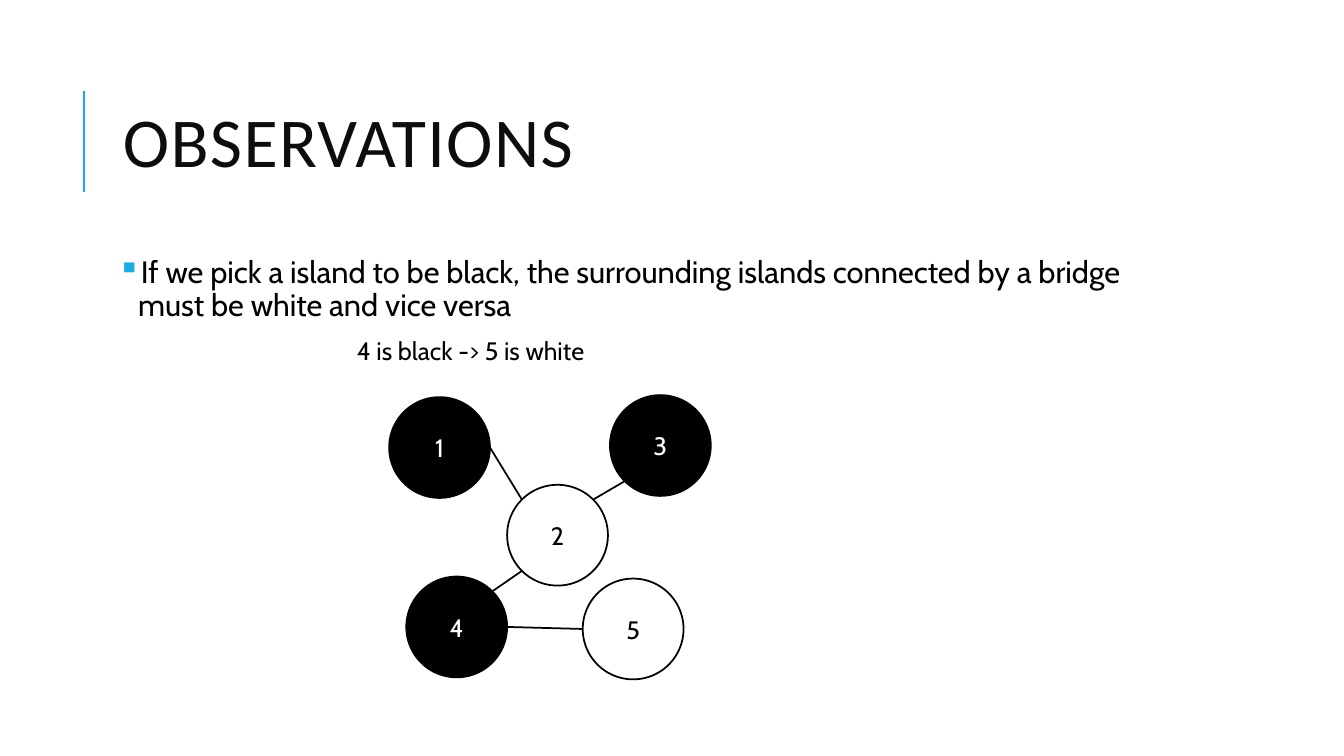
from math import cos, radians, sin

from lxml import etree
from pptx import Presentation
from pptx import util as u
from pptx.dml.color import RGBColor
from pptx.enum import shapes, text
from pptx.oxml import ns

BLACK = RGBColor(0x00, 0x00, 0x00)
WHITE = RGBColor(0xFF, 0xFF, 0xFF)
TITLE_INK = RGBColor(0x0D, 0x0D, 0x0D)
ACCENT = RGBColor(0x1C, 0xAD, 0xE4)

COLUMNS, ROWS = 133.3, 75  # square grid cells
CELL = u.Inches(0.1)
ISLAND_SIZE = 10

# Island: column and row within the graph box, fill, text colour
ISLANDS = {
    "1": (0, 0.2, BLACK, WHITE),
    "2": (11.7, 8.9, WHITE, BLACK),
    "3": (21.9, 0, BLACK, WHITE),
    "5": (19.2, 18.2, WHITE, BLACK),
    "4": (1.7, 18, BLACK, WHITE),
}
# Bridge: island and clockwise angle from its right side, for each end
BRIDGES = [
    ("1", 0, "2", 225),
    ("3", 135, "2", 315),
    ("5", 180, "4", 0),
    ("4", 315, "2", 135),
]


def cells(*counts):
    return [round(count * CELL) for count in counts]


def write(shape, content, size, font="Cabin", color=BLACK, align=None,
          anchor=text.MSO_ANCHOR.TOP, wrap=True, inset=None,
          line_spacing=None, before=None, after=None, tracking=None):
    """Fill a shape with one formatted paragraph and return the paragraph."""
    frame = shape.text_frame
    frame.word_wrap = wrap
    frame.vertical_anchor = anchor
    if inset is not None:
        frame.margin_left = frame.margin_right = u.Inches(inset)
        frame.margin_top = frame.margin_bottom = u.Inches(inset)
    paragraph = frame.paragraphs[0]
    paragraph.alignment = align
    paragraph.line_spacing = line_spacing
    paragraph.space_before, paragraph.space_after = before, after
    run = paragraph.add_run()
    run.text = content
    run.font.size = u.Pt(size)
    run.font.name = font
    run.font.color.rgb = color
    if tracking:
        run.font._element.set("spc", str(tracking * 100))
    return paragraph


def add_bullet(paragraph, character, color, indent):
    properties = paragraph._p.get_or_add_pPr()
    properties.set("marL", str(indent))
    properties.set("indent", str(-indent))
    bullet_color = etree.SubElement(properties, ns.qn("a:buClr"))
    etree.SubElement(bullet_color, ns.qn("a:srgbClr"), val=str(color))
    etree.SubElement(properties, ns.qn("a:buChar"), char=character)


def add_line(slide, start, end, color, width):
    line = slide.shapes.add_connector(
        shapes.MSO_CONNECTOR.STRAIGHT, *cells(*start, *end))
    line.line.color.rgb = color
    line.line.width = u.Pt(width)
    etree.SubElement(line._element.spPr, ns.qn("a:effectLst"))


def draw_title(slide, left, top, width, height):
    """Title with an accent rule standing to its left."""
    rule = left - 2.9
    add_line(slide, (rule, top + 12.6), (rule, top + 2.6), ACCENT, 1.5)
    box = slide.shapes.add_textbox(*cells(left, top, width, height))
    write(box, "OBSERVATIONS", 50, font="Calibri", color=TITLE_INK,
          anchor=text.MSO_ANCHOR.MIDDLE, line_spacing=0.8, tracking=1)


def draw_body(slide, left, top, width, height):
    box = slide.shapes.add_textbox(*cells(left, top, width, height))
    paragraph = write(
        box, "If we pick a island to be black, the surrounding islands "
        "connected by a bridge must be white and vice versa", 22,
        inset=0.05, line_spacing=0.9, before=u.Pt(12), after=u.Pt(2))
    add_bullet(paragraph, "▪", ACCENT, u.Inches(0.2))


def draw_graph(slide, left, top):
    """Islands, the bridges between their rims, and a caption above."""
    radius = ISLAND_SIZE / 2

    def rim_point(name, angle):
        column, row = ISLANDS[name][:2]
        return (left + column + radius * (1 + cos(radians(angle))),
                top + row + radius * (1 + sin(radians(angle))))

    for name, (column, row, fill, ink) in ISLANDS.items():
        island = slide.shapes.add_shape(
            shapes.MSO_SHAPE.OVAL,
            *cells(left + column, top + row, ISLAND_SIZE, ISLAND_SIZE))
        island.shadow.inherit = False
        island.fill.solid()
        island.fill.fore_color.rgb = fill
        island.line.color.rgb = BLACK
        island.line.width = u.Pt(1.25)
        write(island, name, 18, color=ink, align=text.PP_ALIGN.CENTER,
              anchor=text.MSO_ANCHOR.MIDDLE)

    for start, start_angle, end, end_angle in BRIDGES:
        add_line(slide, rim_point(start, start_angle),
                 rim_point(end, end_angle), BLACK, 1.25)

    caption = slide.shapes.add_textbox(
        *cells(left - 4.2, top - 6.4, 25.1, 4))
    write(caption, "4 is black -> 5 is white", 18, wrap=False)
    caption.text_frame.auto_size = text.MSO_AUTO_SIZE.SHAPE_TO_FIT_TEXT


def main():
    presentation = Presentation()
    presentation.slide_width, presentation.slide_height = cells(COLUMNS, ROWS)
    slide = presentation.slides.add_slide(presentation.slide_layouts[6])
    slide.background.fill.solid()
    slide.background.fill.fore_color.rgb = WHITE
    draw_title(slide, 11.2, 6.4, 106.3, 16.4)
    draw_body(slide, 11.2, 25, 106.3, 44)
    draw_graph(slide, 38.6, 39.2)
    presentation.save("out.pptx")


if __name__ == "__main__":
    main()
